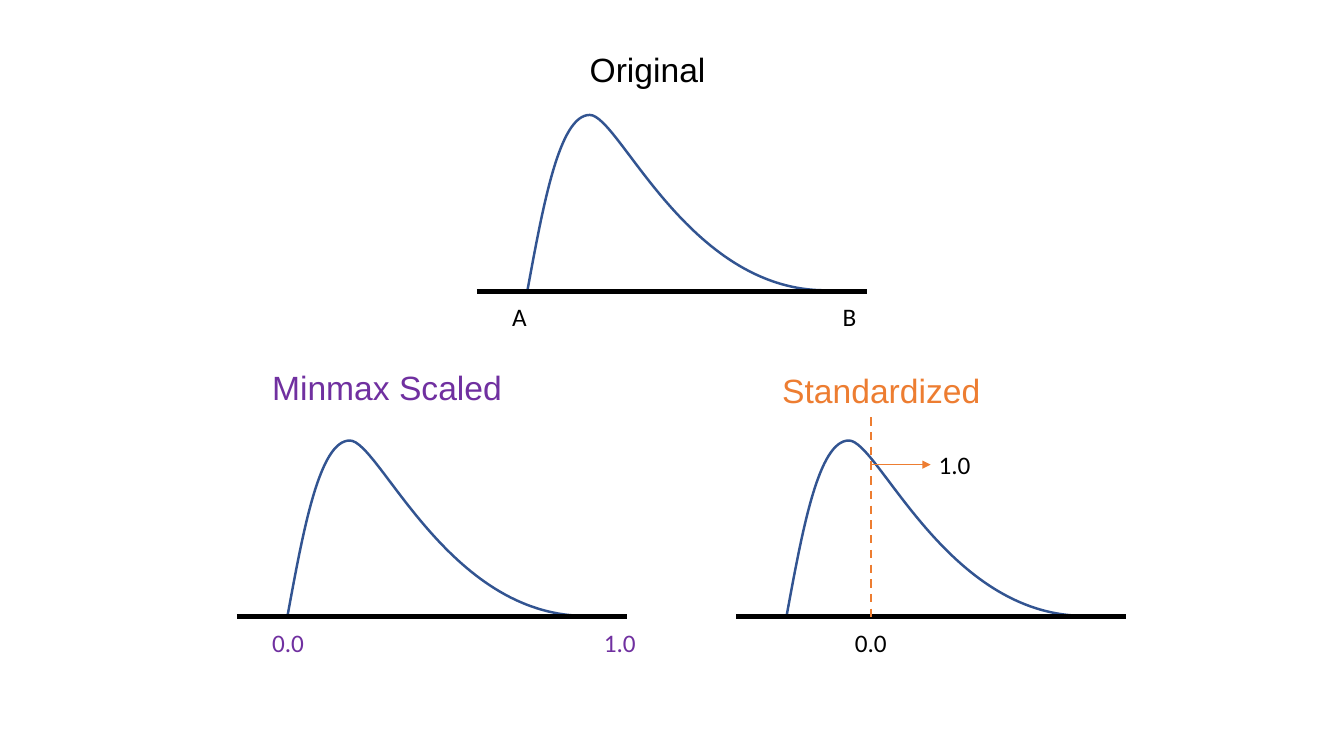
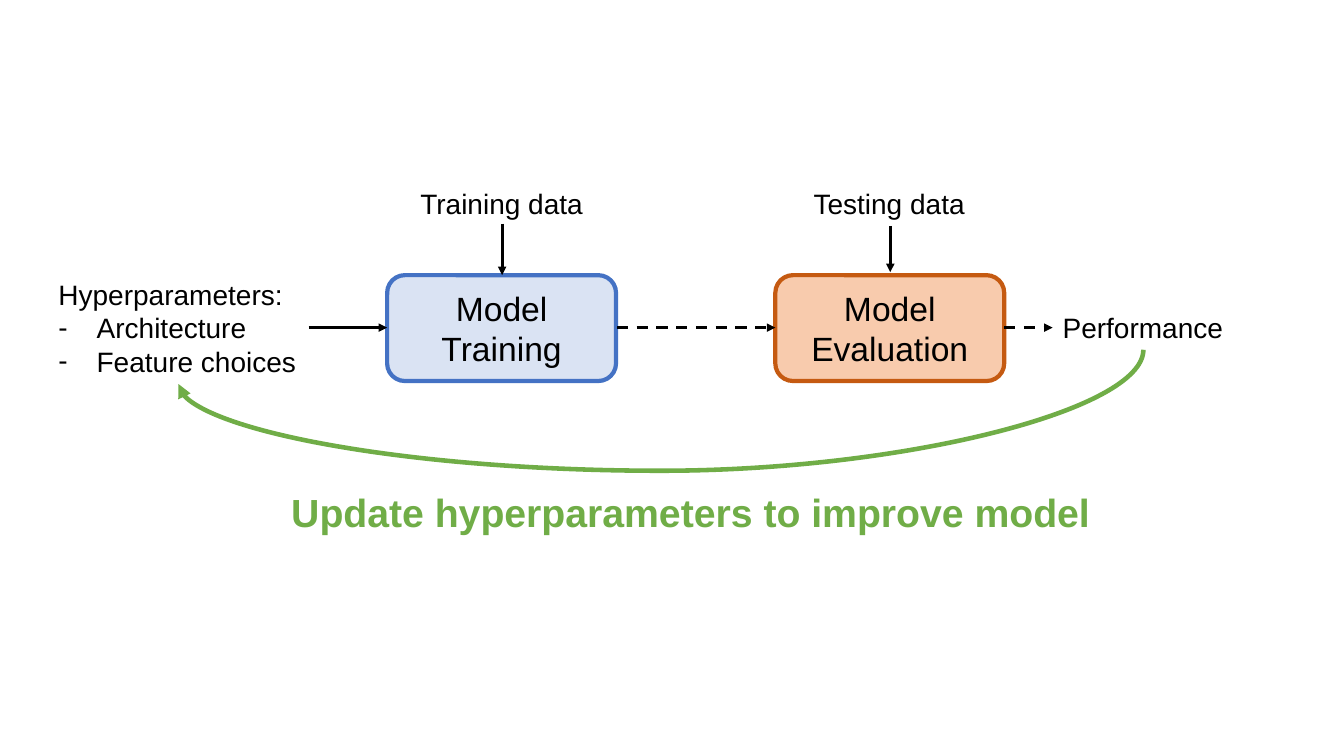
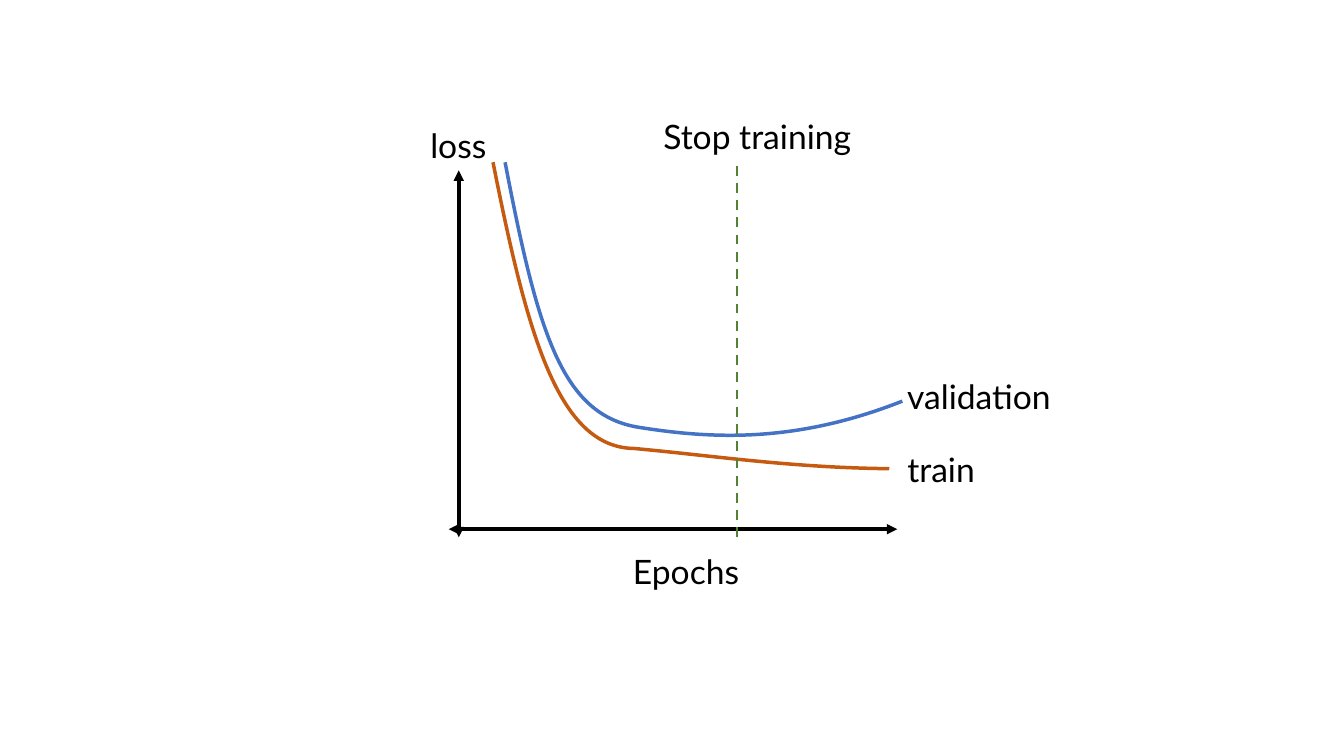
from lxml import etree
from pptx import Presentation
from pptx import util as u
from pptx.dml.color import RGBColor
from pptx.enum import dml, shapes, text
from pptx.oxml.ns import qn

BLACK, NAVY, BLUE, RUST = "000000", "325491", "4472C4", "C55A11"
ORANGE, PURPLE, GREEN, DARK_GREEN = "ED7D31", "7030A0", "70AD47", "548235"
PALE_BLUE, PALE_ORANGE = "DAE3F3", "F8CBAD"


def rgb(color):
    return RGBColor.from_string(color)


class Diagram:
    """Holds the presentation, its text style and the current slide."""

    def __init__(self):
        self.presentation = Presentation()
        self.presentation.slide_width = u.Inches(13.33)
        self.presentation.slide_height = u.Inches(7.5)
        self.font, self.size = "Arial", 24
        self.slide = None

    def new_slide(self):
        layout = self.presentation.slide_layouts[6]
        self.slide = self.presentation.slides.add_slide(layout)

    def style_paragraph(self, paragraph, size, color, font, bold=False):
        for run in paragraph.runs:
            run.font.name, run.font.size = font, u.Pt(size)
            run.font.bold, run.font.color.rgb = bold, rgb(color)

    def label(self, left, top, width, wording, size=None, color=BLACK,
              font=None, bold=False):
        """Add unwrapped text; lines that follow the first are dash bullets."""
        size, font = size or self.size, font or self.font
        lines = wording.split("\n")
        height = 0.1 + len(lines) * size * 1.215 / 72
        box = self.slide.shapes.add_textbox(
            u.Inches(left), u.Inches(top), u.Inches(width), u.Inches(height))
        frame = box.text_frame
        frame.word_wrap = False
        frame.auto_size = text.MSO_AUTO_SIZE.SHAPE_TO_FIT_TEXT
        frame.text = wording
        for index, paragraph in enumerate(frame.paragraphs):
            if index:
                self.bullet(paragraph)
            self.style_paragraph(paragraph, size, color, font, bold)

    def bullet(self, paragraph):
        properties = paragraph._p.get_or_add_pPr()
        properties.set("marL", str(u.Inches(0.38)))
        properties.set("indent", str(u.Inches(-0.38)))
        etree.SubElement(properties, qn("a:buFont"), typeface=self.font)
        etree.SubElement(properties, qn("a:buChar"), char="-")

    def box(self, left, top, width, height, wording, fill, outline):
        shape = self.slide.shapes.add_shape(
            shapes.MSO_SHAPE.ROUNDED_RECTANGLE, u.Inches(left), u.Inches(top),
            u.Inches(width), u.Inches(height))
        shape.shadow.inherit = False
        shape.fill.solid()
        shape.fill.fore_color.rgb = rgb(fill)
        shape.line.color.rgb, shape.line.width = rgb(outline), u.Pt(3)
        frame = shape.text_frame
        frame.text = wording
        frame.word_wrap = True
        frame.vertical_anchor = text.MSO_ANCHOR.MIDDLE
        frame.paragraphs[0].alignment = text.PP_ALIGN.CENTER
        self.style_paragraph(frame.paragraphs[0], self.size, BLACK, self.font)

    def line(self, start, end, color=BLACK, width=2, dashed=False, head=False,
             tail=False, kind=shapes.MSO_CONNECTOR.STRAIGHT):
        connector = self.slide.shapes.add_connector(
            kind, *(u.Inches(value) for value in (*start, *end)))
        connector.line.color.rgb = rgb(color)
        connector.line.width = u.Pt(width)
        if dashed:
            connector.line.dash_style = dml.MSO_LINE.DASH
        properties = connector.element.spPr
        outline = properties.find(qn("a:ln"))
        for tag, wanted in (("a:headEnd", head), ("a:tailEnd", tail)):
            if wanted:
                etree.SubElement(outline, qn(tag), type="triangle")
        etree.SubElement(properties, qn("a:effectLst"))
        return connector

    def loop_back(self, start, end, bottom, color, width):
        """Add a curved arrow that dips to bottom on its way from start to end."""
        (x1, y1), (x2, y2) = start, end
        middle_x, middle_y = (x1 + x2) / 2, (y1 + y2) / 2
        half_width, half_height = (y2 - y1) / 2, (x1 - x2) / 2
        connector = self.line(
            (middle_x - half_width, middle_y - half_height),
            (middle_x + half_width, middle_y + half_height),
            color, width, tail=True, kind=shapes.MSO_CONNECTOR.CURVE)
        properties = connector.element.spPr
        properties.find(qn("a:xfrm")).set("rot", str(90 * 60000))
        geometry = properties.find(qn("a:prstGeom"))
        adjustments = geometry.find(qn("a:avLst"))
        if adjustments is None:
            adjustments = etree.SubElement(geometry, qn("a:avLst"))
        dip = round((bottom - y1) / (y2 - y1) * 100000)
        etree.SubElement(adjustments, qn("a:gd"), name="adj1", fmla=f"val {dip}")

    def curve(self, points, color, width):
        """Add an open curve: a start, then two controls and an end per piece."""
        corners = [(u.Inches(x), u.Inches(y)) for x, y in points]
        builder = self.slide.shapes.build_freeform(*corners[0])
        builder.add_line_segments(corners[1:], close=False)
        shape = builder.convert_to_shape()
        segments = list(shape.element.iter(qn("a:lnTo")))
        for index in range(0, len(segments), 3):
            piece = etree.Element(qn("a:cubicBezTo"))
            segments[index].addprevious(piece)
            for segment in segments[index:index + 3]:
                piece.append(segment.find(qn("a:pt")))
                segment.getparent().remove(segment)
        shape.shadow.inherit = False
        shape.fill.background()
        shape.line.color.rgb, shape.line.width = rgb(color), u.Pt(width)


def distribution(diagram, left, base):
    """Draw a skewed curve standing on a thick axis."""
    profile = [(0.5, 0), (0.66, 0.87), (0.82, 1.75), (1.12, 1.75),
               (1.41, 1.75), (2.09, 0.01), (3.46, 0.01)]
    diagram.curve([(left + x, base - y) for x, y in profile], NAVY, 1.75)
    diagram.line((left, base), (left + 3.87, base), width=3.75)


def scaling_slide(diagram):
    diagram.new_slide()
    panels = [
        (4.73, 2.89, "Original", 5.75, 0.44, 1.36, BLACK, BLACK,
         [("A", 0.25, 0.35), ("B", 3.53, 0.34)]),
        (7.3, 6.12, "Standardized", 7.66, 3.62, 2.19, ORANGE, BLACK,
         [("0.0", 1.08, 0.52)]),
        (2.35, 6.12, "Minmax Scaled", 2.6, 3.59, 2.51, PURPLE, PURPLE,
         [("0.0", 0.25, 0.52), ("1.0", 3.54, 0.52)]),
    ]
    for left, base, name, x, y, width, color, tick_color, ticks in panels:
        for tick, offset, tick_width in ticks:
            diagram.label(left + offset, base + 0.05, tick_width, tick, 18,
                          tick_color, "Calibri")
        distribution(diagram, left, base)
        diagram.label(x, y, width, name, color=color)
    diagram.line((8.64, 4.14), (8.64, 6.12), ORANGE, 1.5, dashed=True)
    diagram.label(9.21, 4.41, 0.52, "1.0", 18, font="Calibri")
    diagram.line((8.64, 4.61), (9.23, 4.61), ORANGE, 0.75, tail=True)


def tuning_slide(diagram):
    diagram.new_slide()
    diagram.box(3.84, 2.73, 2.27, 1.05, "Model Training", PALE_BLUE, BLUE)
    diagram.box(7.69, 2.73, 2.27, 1.05, "Model Evaluation", PALE_ORANGE, RUST)
    for left, top, width, wording in (
            (4.07, 1.8, 1.83, "Training data"),
            (10.44, 3.03, 1.81, "Performance"),
            (7.97, 1.8, 1.71, "Testing data"),
            (0.48, 2.7, 2.58,
             "Hyperparameters:\nArchitecture\nFeature choices")):
        diagram.label(left, top, width, wording, 20)
    diagram.line((3.06, 3.25), (3.84, 3.25), tail=True)
    for x, top, bottom in ((4.98, 2.22, 2.73), (8.83, 2.24, 2.7)):
        diagram.line((x, top), (x, bottom), tail=True)
    for left, right in ((6.12, 7.69), (9.96, 10.44)):
        diagram.line((left, 3.25), (right, 3.25), dashed=True, tail=True)
    diagram.loop_back((11.34, 3.47), (1.77, 3.81), 4.67, GREEN, 3.25)
    diagram.label(2.79, 4.8, 8.22, "Update hyperparameters to improve model",
                  28, GREEN, bold=True)


def early_stopping_slide(diagram):
    diagram.new_slide()
    for start, end in (((4.45, 5.25), (8.9, 5.25)), ((4.55, 1.69), (4.55, 5.33))):
        diagram.line(start, end, width=2.5, head=True, tail=True)
    train = [(4.89, 1.61), (5.23, 3.33), (5.54, 4.44), (6.29, 4.45),
             (7.06, 4.52), (7.84, 4.64), (8.82, 4.65)]
    validation = [(5.01, 1.61), (5.34, 3.33), (5.58, 4.12), (6.34, 4.24),
                  (7.09, 4.36), (7.91, 4.39), (8.95, 3.98)]
    diagram.curve(train, RUST, 2.5)
    diagram.curve(validation, BLUE, 2.5)
    diagram.line((7.31, 5.33), (7.31, 1.61), DARK_GREEN, 1.75, dashed=True)
    for left, top, width, wording in (
            (4.17, 1.19, 0.76, "loss"), (6.18, 5.42, 1.27, "Epochs"),
            (8.9, 4.4, 0.88, "train"), (8.9, 3.68, 1.64, "validation"),
            (6.48, 1.1, 2.09, "Stop training")):
        diagram.label(left, top, width, wording, font="Lato")


def main():
    diagram = Diagram()
    scaling_slide(diagram)
    tuning_slide(diagram)
    early_stopping_slide(diagram)
    diagram.presentation.save("out.pptx")


if __name__ == "__main__":
    main()
